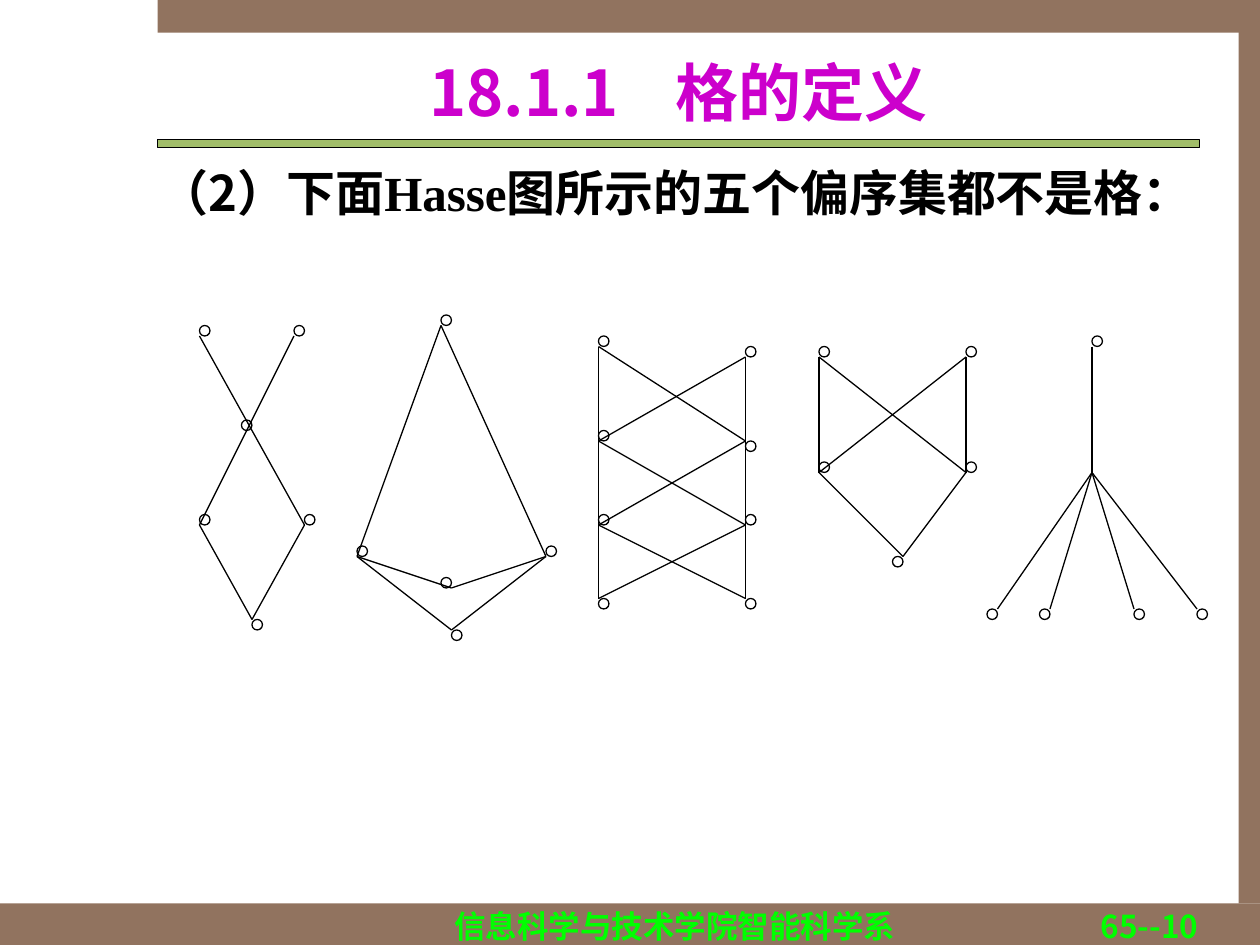
"""Build a slide showing five Hasse diagrams that are not lattices."""
from dataclasses import dataclass

from lxml import etree
from pptx import Presentation
from pptx.dml.color import RGBColor
from pptx.enum.shapes import MSO_CONNECTOR, MSO_SHAPE
from pptx.enum.text import MSO_ANCHOR, PP_ALIGN
from pptx.oxml.ns import qn
from pptx.util import Inches, Pt

RECT = MSO_SHAPE.RECTANGLE
OVAL = MSO_SHAPE.OVAL
STRAIGHT = MSO_CONNECTOR.STRAIGHT
TOP, MIDDLE = MSO_ANCHOR.TOP, MSO_ANCHOR.MIDDLE
LEFT, CENTER, RIGHT = PP_ALIGN.LEFT, PP_ALIGN.CENTER, PP_ALIGN.RIGHT

COLORS = {
    "frame": "91735F",
    "rule": "A1BD69",
    "line": "000000",
    "title": "CC00CC",
    "body": "000000",
    "footer": "00FF00",
}
CJK = "Noto Sans CJK SC"
LATIN = "Times New Roman"
GRID = 1 / 12
LINE_WIDTH = 0.75


@dataclass(frozen=True)
class Bar:
    left: float
    top: float
    width: float
    height: float
    color: str
    outlined: bool = False


@dataclass(frozen=True)
class Run:
    text: str
    font: str = CJK
    spacing: int = 0


@dataclass(frozen=True)
class Label:
    left: float
    top: float
    width: float
    height: float
    runs: tuple[Run, ...]
    size: int
    color: str
    align: PP_ALIGN = CENTER
    anchor: MSO_ANCHOR = TOP
    hanging: float = 0
    line_spacing: float = 1.0


@dataclass(frozen=True)
class Hasse:
    """Node corners and chains of joined points, in grid units."""
    nodes: tuple[tuple[int, int], ...]
    chains: tuple[tuple[tuple[int, int], ...], ...]


BARS = (
    Bar(0, 7.17, 10, 0.33, "frame"),
    Bar(1.25, 0, 8.75, 0.26, "frame"),
    Bar(9.83, 0.25, 0.17, 6.92, "frame"),
    Bar(1.25, 1.11, 8.27, 0.06, "rule", True),
)

LABELS = (
    Label(3.19, 7.15, 4.33, 0.18, (Run("信息科学与技术学院智能科学系"),), 18, "footer"),
    Label(7.53, 7.15, 2.08, 0.18, (Run("65--10"),), 18, "footer", RIGHT),
    Label(1.17, 1.32, 8.33, 1.04,
          (Run("（2）下面"), Run("Hasse", LATIN), Run("图所示的五个偏序集都不是格：")),
          28, "body", LEFT, hanging=0.38, line_spacing=0.82),
    Label(1.25, 0.33, 8.27, 0.79,
          (Run("18.1.1"), Run(" ", spacing=24), Run("格的定义")),
          36, "title", anchor=MIDDLE),
)

DIAGRAMS = (
    Hasse(((19, 31), (28, 31), (23, 40), (19, 49), (29, 49), (24, 59)),
          (((28, 32), (19, 50), (24, 59)),
           ((19, 32), (29, 50), (24, 59)))),
    Hasse(((42, 30), (34, 52), (42, 55), (52, 52), (43, 60)),
          (((42, 31), (34, 53), (43, 56), (52, 53), (42, 31)),
           ((34, 53), (43, 60), (52, 53)))),
    Hasse(((57, 32), (71, 33), (57, 41), (71, 42),
           (57, 49), (71, 49), (57, 57), (71, 57)),
          (((57, 33), (57, 57)),
           ((71, 34), (71, 57)),
           ((57, 33), (71, 42), (57, 50), (71, 57)),
           ((71, 34), (57, 42), (71, 50), (57, 57)))),
    Hasse(((78, 33), (92, 33), (78, 44), (92, 44), (85, 53)),
          (((78, 34), (78, 45), (86, 53), (92, 45), (92, 34)),
           ((78, 34), (92, 45)),
           ((92, 34), (78, 45)))),
    Hasse(((104, 32), (94, 58), (99, 58), (108, 58), (114, 58)),
          (((104, 33), (104, 45)),)
          + tuple(((104, 45), (x, 58)) for x in (95, 100, 108, 114))),
)


def rgb(name: str) -> RGBColor:
    """Look up a named colour."""
    return RGBColor.from_string(COLORS[name])


def grid(n: int) -> Inches:
    """Turn grid units into a length."""
    return Inches(n * GRID)


def outline(sp) -> None:
    """Give a shape or connector the thin black line."""
    sp.line.color.rgb = rgb("line")
    sp.line.width = Pt(LINE_WIDTH)


def draw_bar(shapes, bar: Bar) -> None:
    """Draw one filled bar of the slide frame."""
    sp = shapes.add_shape(RECT, Inches(bar.left), Inches(bar.top),
                          Inches(bar.width), Inches(bar.height))
    sp.shadow.inherit = False
    sp.fill.solid()
    sp.fill.fore_color.rgb = rgb(bar.color)
    if bar.outlined:
        outline(sp)
    else:
        sp.line.fill.background()


def draw_label(shapes, label: Label) -> None:
    """Draw a text box with its runs."""
    sp = shapes.add_textbox(Inches(label.left), Inches(label.top),
                            Inches(label.width), Inches(label.height))
    tf = sp.text_frame
    tf.word_wrap = True
    tf.vertical_anchor = label.anchor
    p = tf.paragraphs[0]
    p.alignment = label.align
    p.line_spacing = label.line_spacing
    if label.hanging:
        pPr = p._p.get_or_add_pPr()
        pPr.set("marL", str(Inches(label.hanging)))
        pPr.set("indent", str(-Inches(label.hanging)))
    for run in label.runs:
        r = p.add_run()
        r.text = run.text
        r.font.size = Pt(label.size)
        r.font.bold = True
        r.font.color.rgb = rgb(label.color)
        r.font.name = run.font
        rPr = r._r.get_or_add_rPr()
        etree.SubElement(rPr, qn("a:ea")).set("typeface", run.font)
        if run.spacing:
            rPr.set("spc", str(run.spacing * 100))


def draw_edge(shapes, start: tuple[int, int], end: tuple[int, int]) -> None:
    """Draw one edge between two grid points."""
    c = shapes.add_connector(STRAIGHT, *map(grid, start + end))
    outline(c)
    etree.SubElement(c._element.spPr, qn("a:effectLst"))


def draw_node(shapes, corner: tuple[int, int]) -> None:
    """Draw one hollow node, a grid unit wide."""
    sp = shapes.add_shape(OVAL, *map(grid, corner), grid(1), grid(1))
    sp.shadow.inherit = False
    sp.fill.background()
    outline(sp)


def draw_hasse(shapes, diagram: Hasse) -> None:
    """Draw a diagram as one group."""
    group = shapes.add_group_shape().shapes
    for chain in diagram.chains:
        for start, end in zip(chain, chain[1:]):
            draw_edge(group, start, end)
    for corner in diagram.nodes:
        draw_node(group, corner)


def main() -> None:
    """Build and save the slide."""
    prs = Presentation()
    prs.slide_width, prs.slide_height = Inches(10), Inches(7.5)
    s = prs.slides.add_slide(prs.slide_layouts[6])
    for draw, items in ((draw_bar, BARS), (draw_label, LABELS), (draw_hasse, DIAGRAMS)):
        for item in items:
            draw(s.shapes, item)
    prs.save("out.pptx")


if __name__ == "__main__":
    main()
